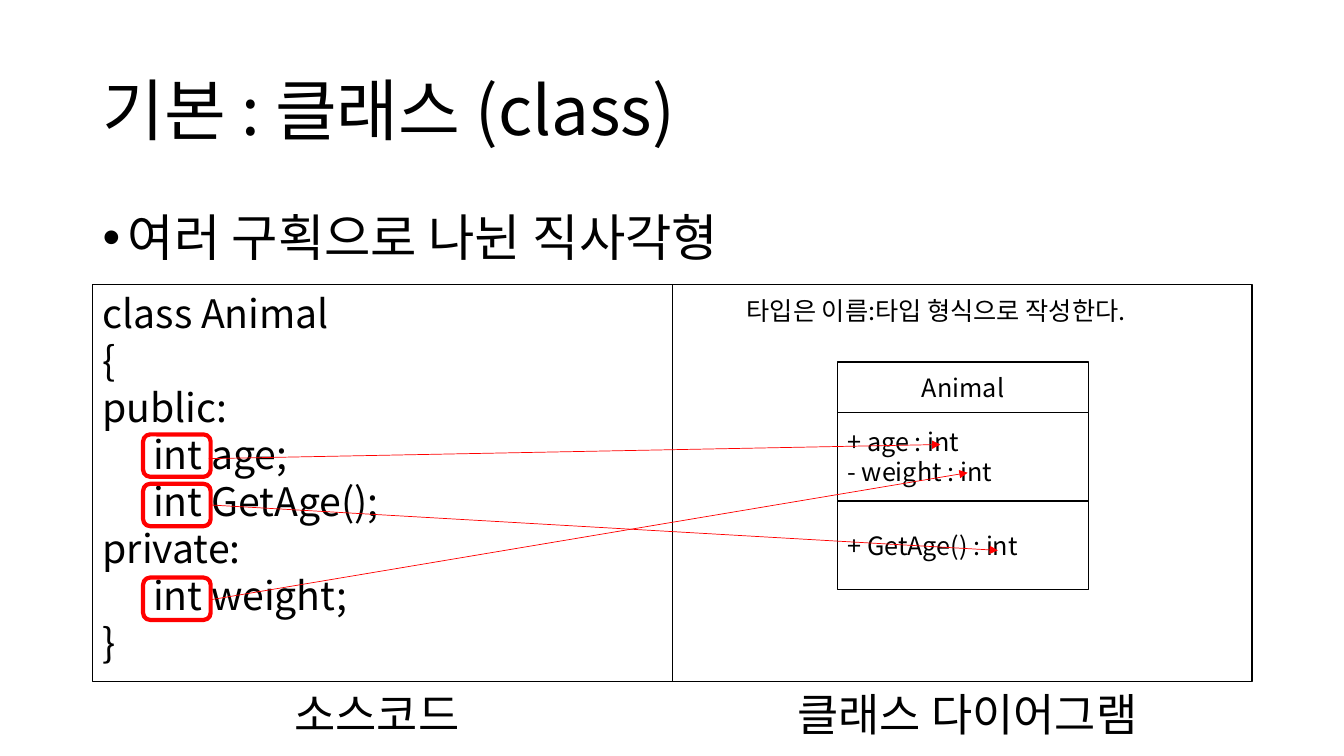
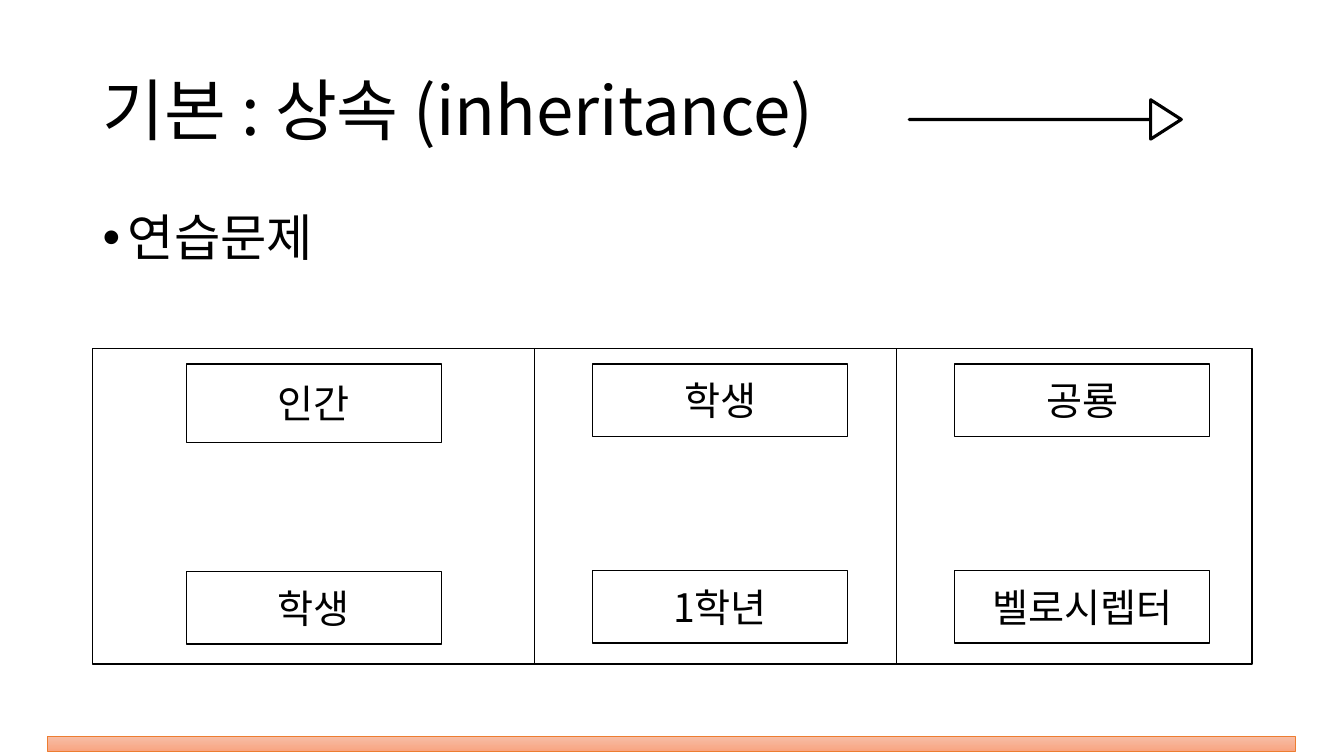
"""Build two slides on class diagrams: classes and inheritance."""
from lxml import etree
from pptx import Presentation
from pptx.dml.color import RGBColor
from pptx.enum.shapes import MSO_CONNECTOR, MSO_SHAPE
from pptx.enum.text import MSO_ANCHOR, PP_ALIGN
from pptx.oxml.ns import qn
from pptx.util import Pt

RECTANGLE = MSO_SHAPE.RECTANGLE
ROUNDED = MSO_SHAPE.ROUNDED_RECTANGLE
RIGHT_ARROW = MSO_SHAPE.RIGHT_ARROW
STRAIGHT = MSO_CONNECTOR.STRAIGHT
TOP, MIDDLE = MSO_ANCHOR.TOP, MSO_ANCHOR.MIDDLE
LEFT, CENTER = PP_ALIGN.LEFT, PP_ALIGN.CENTER

FONT = "Noto Sans CJK KR"
COLORS = {
    "ink": "000000",
    "paper": "FFFFFF",
    "mark": "FF0000",
    "band_line": "ED7D31",
    "band_top": "F7BDA5",
    "band_bottom": "F8A582",
}
RGB = {name: RGBColor.from_string(value) for name, value in COLORS.items()}
MARGIN, CONTENT_WIDTH = 66.24, 828


def draw(slide, kind, box, weight=1, line="ink", fill=None):
    """Add an outlined shape, filled only when a colour is named."""
    shape = slide.shapes.add_shape(kind, *map(Pt, box))
    shape.shadow.inherit = False
    shape.line.color.rgb = RGB[line]
    shape.line.width = Pt(weight)
    if fill:
        shape.fill.solid()
        shape.fill.fore_color.rgb = RGB[fill]
    else:
        shape.fill.background()
    return shape


def write(shape, lines, size, align=LEFT, anchor=TOP):
    """Fill a shape with one paragraph per line and return the paragraphs."""
    frame = shape.text_frame
    frame.word_wrap = True
    frame.vertical_anchor = anchor
    frame.text = "\n".join(lines)
    for paragraph in frame.paragraphs:
        paragraph.alignment = align
        paragraph.font.size = Pt(size)
        paragraph.font.color.rgb = RGB["ink"]
        paragraph.font.name = FONT
        defaults = paragraph._p.pPr.find(qn("a:defRPr"))
        etree.SubElement(defaults, qn("a:ea")).set("typeface", FONT)
    return frame.paragraphs


presentation = Presentation()
presentation.slide_width = Pt(960)
presentation.slide_height = Pt(540)

slides = []
for title, topic, frame_top, frame_height in [
    ("기본 : 클래스 (class)", "여러 구획으로 나뉜 직사각형", 203.04, 283.68),
    ("기본 : 상속 (inheritance)", "연습문제", 249.12, 225.36),
]:
    slide = presentation.slides.add_slide(presentation.slide_layouts[6])
    slides.append(slide)
    draw(slide, RECTANGLE, (MARGIN, frame_top, CONTENT_WIDTH, frame_height), fill="paper")

    title_box = slide.shapes.add_textbox(Pt(MARGIN), Pt(28.8), Pt(CONTENT_WIDTH), Pt(104.4))
    write(title_box, [title], 48, anchor=MIDDLE)[0].line_spacing = 0.9

    topic_box = slide.shapes.add_textbox(Pt(MARGIN), Pt(144), Pt(CONTENT_WIDTH), Pt(342.72))
    paragraph = write(topic_box, [topic], 36)[0]
    paragraph.space_before = Pt(10)
    properties = paragraph._p.pPr
    properties.set("marL", str(Pt(18)))
    properties.set("indent", str(Pt(-18)))
    defaults = properties.find(qn("a:defRPr"))
    for tag, attribute, value in [("a:buFont", "typeface", "Arial"), ("a:buChar", "char", "•")]:
        bullet = etree.Element(qn(tag))
        bullet.set(attribute, value)
        defaults.addprevious(bullet)

class_slide, inheritance_slide = slides

for text, left, top, width, height, size, align in [
    ("소스코드", 123.12, 486.72, 292.32, 46.08, 32, CENTER),
    ("클래스 다이어그램", 545.04, 486.72, 292.32, 46.08, 32, CENTER),
    ("타입은 이름:타입 형식으로 작성한다.", 526.32, 207.36, 344.16, 28.8, 18, LEFT),
]:
    caption = class_slide.shapes.add_textbox(Pt(left), Pt(top), Pt(width), Pt(height))
    write(caption, [text], size, align)

compartment_top = 258.48
for lines, height, align in [
    (["Animal"], 36, CENTER),
    (["+ age : int", "- weight : int"], 63.36, LEFT),
    (["+ GetAge() : int"], 63.36, LEFT),
]:
    box = (598.32, compartment_top, 179.28, height)
    write(draw(class_slide, RECTANGLE, box, fill="paper"), lines, 18, align, MIDDLE)
    compartment_top += height

source_code = ["class Animal", "{", "public:", "int age;", "int GetAge();",
               "private:", "int weight;", "}"]
code_box = class_slide.shapes.add_textbox(Pt(MARGIN), Pt(203.04), Pt(416.16), Pt(278.64))
for line, paragraph in zip(source_code, write(code_box, source_code, 28)):
    if line.startswith("int "):
        paragraph._p.pPr.set("marL", str(Pt(36)))

for top in (310.32, 345.6, 412.56):
    draw(class_slide, ROUNDED, (102.24, top, 48.24, 30.24), weight=3, line="mark")

inheritance_arrow = draw(inheritance_slide, RIGHT_ARROW, (649.44, 71.28, 194.4, 28.08), weight=2.25)
inheritance_arrow.adjustments[0] = 0
inheritance_arrow.adjustments[1] = 0.78

for left, parent, child, parent_height, child_top in [
    (133.2, "인간", "학생", 56.16, 408.24),
    (423.36, "학생", "1학년", 51.84, 407.52),
    (681.84, "공룡", "벨로시렙터", 51.84, 407.52),
]:
    for name, top, height in [(parent, 259.92, parent_height), (child, child_top, 51.84)]:
        class_box = draw(inheritance_slide, RECTANGLE, (left, top, 182.16, height), fill="paper")
        write(class_box, [name], 28, CENTER, MIDDLE)

band = draw(inheritance_slide, RECTANGLE, (33.84, 526.32, 891.36, 10.08), 0.5, "band_line")
band.fill.gradient()
band.fill.gradient_angle = 270
for stop, position, color in zip(band.fill.gradient_stops, (0, 1), ("band_top", "band_bottom")):
    stop.position = position
    stop.color.rgb = RGB[color]

for slide, color, ends in [
    (class_slide, "ink", (480.24, 203.04, 480.24, 486.72)),
    (class_slide, "mark", (149.04, 327.6, 671.76, 317.52)),
    (class_slide, "mark", (150.48, 360.72, 712.8, 393.12)),
    (class_slide, "mark", (150.48, 428.4, 691.2, 337.68)),
    (inheritance_slide, "ink", (381.6, 249.12, 381.6, 474.48)),
    (inheritance_slide, "ink", (640.08, 249.12, 640.08, 474.48)),
]:
    connector = slide.shapes.add_connector(STRAIGHT, *map(Pt, ends))
    connector.line.color.rgb = RGB[color]
    connector.line.width = Pt(0.5)
    shape_properties = connector._element.spPr
    etree.SubElement(shape_properties, qn("a:effectLst"))
    if color == "mark":
        outline = shape_properties.find(qn("a:ln"))
        etree.SubElement(outline, qn("a:tailEnd")).set("type", "triangle")

presentation.save("out.pptx")
